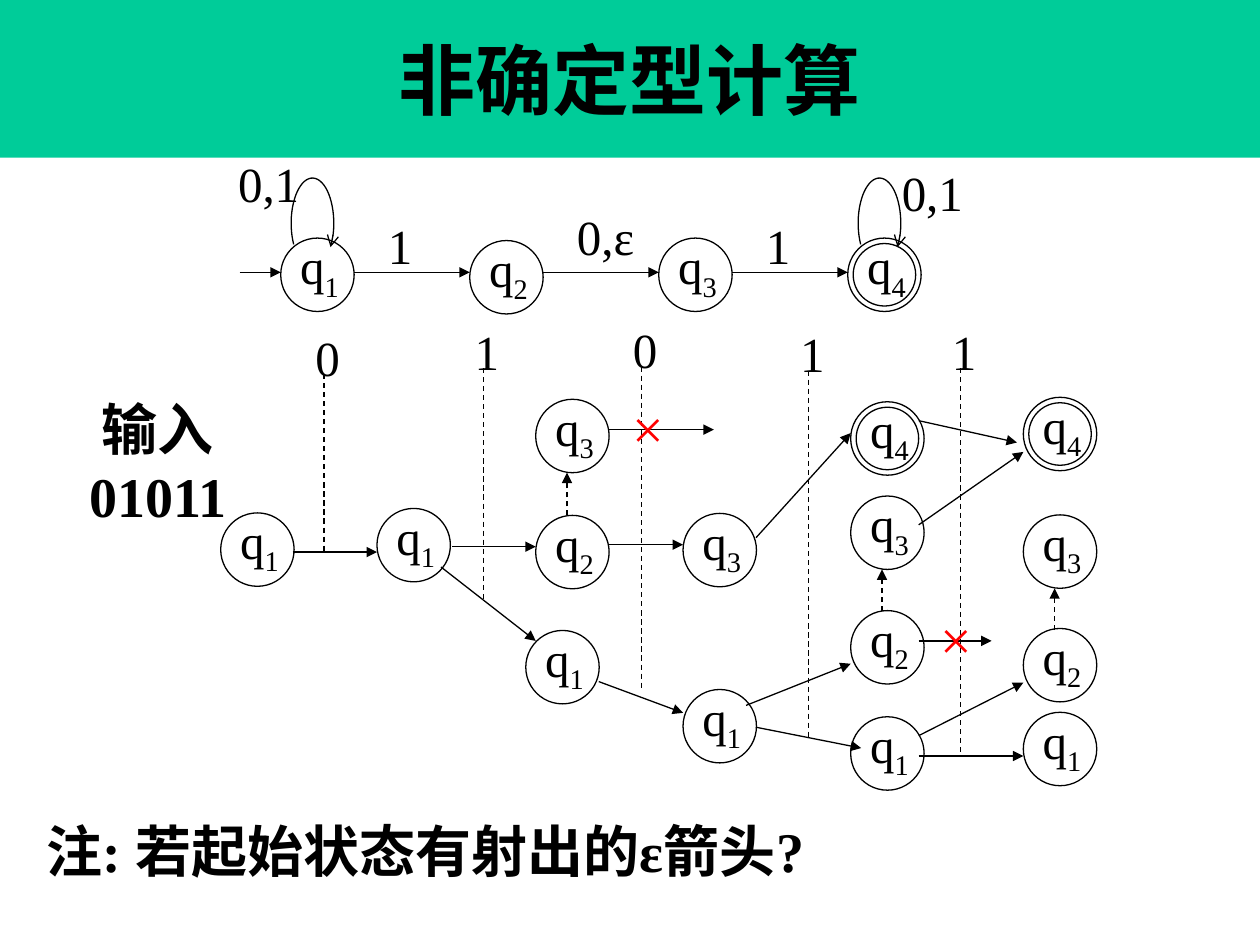
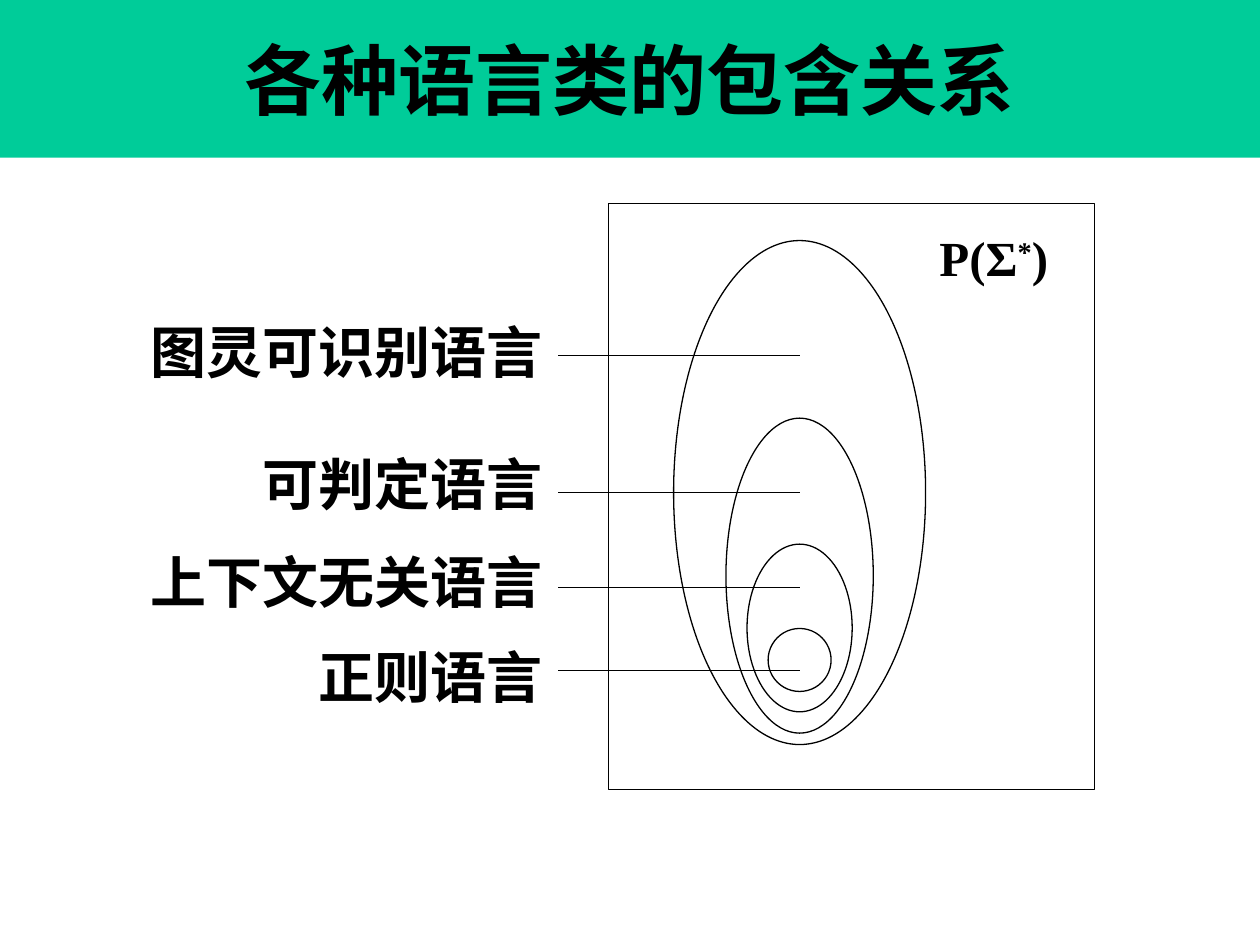
from math import cos, radians, sin

from lxml.etree import SubElement
from pptx import Presentation
from pptx.dml.color import RGBColor
from pptx.enum.dml import MSO_LINE
from pptx.enum.shapes import MSO_CONNECTOR, MSO_SHAPE
from pptx.enum.text import MSO_ANCHOR, MSO_AUTO_SIZE, PP_ALIGN
from pptx.oxml.ns import qn
from pptx.util import Cm, Pt

# Shared style; all positions are in centimetres
FONT = "Times New Roman"
BLACK, RED, GREEN = "000000", "FF0000", "00CC99"
SLIDE_WIDTH, SLIDE_HEIGHT, BAND_HEIGHT = 25.4, 19.05, 3.18
STATE_SIZE, ACCEPT_INSET = 1.48, 0.11
SUBSCRIPT, SUPERSCRIPT = -25000, 30000


def colour(hex_value):
    return RGBColor.from_string(hex_value)


def format_run(run, size, bold=False, hex_value=BLACK):
    run.font.name = FONT
    run.font.size = Pt(size)
    run.font.bold = bold
    run.font.color.rgb = colour(hex_value)


# Elements
def add_title_slide(presentation, title):
    slide = presentation.slides.add_slide(presentation.slide_layouts[6])
    band = slide.shapes.add_shape(MSO_SHAPE.RECTANGLE, 0, 0, Cm(SLIDE_WIDTH), Cm(BAND_HEIGHT))
    band.shadow.inherit = False
    band.fill.solid()
    band.fill.fore_color.rgb = colour(GREEN)
    band.line.fill.background()
    band.text_frame.text = title
    band.text_frame.vertical_anchor = MSO_ANCHOR.MIDDLE
    paragraph = band.text_frame.paragraphs[0]
    paragraph.alignment = PP_ALIGN.CENTER
    format_run(paragraph.runs[0], 44, bold=True)
    return slide


def add_label(slide, left, top, width, height, text, size=28, bold=False,
              hex_value=BLACK, align=PP_ALIGN.LEFT, wrap=False):
    """Text box; text may be a string or a list of (text, baseline) runs."""
    box = slide.shapes.add_textbox(Cm(left), Cm(top), Cm(width), Cm(height))
    frame = box.text_frame
    frame.word_wrap = wrap
    frame.auto_size = MSO_AUTO_SIZE.SHAPE_TO_FIT_TEXT
    if isinstance(text, str):
        frame.text = text
    else:
        for part, baseline in text:
            run = frame.paragraphs[0].add_run()
            run.text = part
            if baseline:
                run._r.get_or_add_rPr().set("baseline", str(baseline))
    for paragraph in frame.paragraphs:
        paragraph.alignment = align
        for run in paragraph.runs:
            format_run(run, size, bold, hex_value)


def add_outline(slide, kind, left, top, width, height):
    shape = slide.shapes.add_shape(kind, Cm(left), Cm(top), Cm(width), Cm(height))
    shape.shadow.inherit = False
    shape.fill.background()
    style_line(shape)


def style_line(shape, arrow=None, dashed=False):
    shape.line.color.rgb = colour(BLACK)
    shape.line.width = Pt(0.75)
    if dashed:
        shape.line.dash_style = MSO_LINE.DASH
    if arrow:
        SubElement(shape.line._get_or_add_ln(), qn("a:tailEnd"), type=arrow)


def add_line(slide, x1, y1, x2, y2, arrow=None, dashed=False):
    line = slide.shapes.add_connector(MSO_CONNECTOR.STRAIGHT, Cm(x1), Cm(y1), Cm(x2), Cm(y2))
    style_line(line, arrow, dashed)
    SubElement(line._element.spPr, qn("a:effectLst"))


def add_state(slide, left, top, index, accepting=False):
    add_outline(slide, MSO_SHAPE.OVAL, left, top, STATE_SIZE, STATE_SIZE)
    if accepting:
        inner = STATE_SIZE - 2 * ACCEPT_INSET
        add_outline(slide, MSO_SHAPE.OVAL, left + ACCEPT_INSET, top + ACCEPT_INSET, inner, inner)
    add_label(slide, left + 0.14, top - 0.17, 1.35, 1.45, [("q", 0), (str(index), SUBSCRIPT)])


def add_self_loop(slide, state_left, state_top):
    centre_x, centre_y = state_left + 0.64, state_top - 0.3
    points = [(Cm(centre_x + 0.43 * cos(radians(angle))), Cm(centre_y + 0.91 * sin(radians(angle))))
              for angle in range(152, 393, 6)]
    builder = slide.shapes.build_freeform(*points[0])
    builder.add_line_segments(points[1:], close=False)
    loop = builder.convert_to_shape()
    loop.shadow.inherit = False
    loop.fill.background()
    style_line(loop, arrow="arrow")


# Slide 1: automaton and its computation tree
def draw_automaton(slide):
    first_left, step, arrow_y = 5.66, 3.81, 5.49
    lefts = [first_left + step * number for number in range(4)]
    tops = [4.8, 4.85, 4.8, 4.8]
    add_line(slide, 4.83, arrow_y, first_left, arrow_y, arrow="triangle")
    for number, (left, top) in enumerate(zip(lefts, tops), start=1):
        add_state(slide, left, top, number, accepting=number == 4)
    for left, following in zip(lefts, lefts[1:]):
        add_line(slide, left + STATE_SIZE, arrow_y, following, arrow_y, arrow="triangle")
    for number in (0, 3):
        add_self_loop(slide, lefts[number], tops[number])
    for left, top, width, symbols in [
        (4.55, 2.97, 1.75, "0,1"), (7.57, 4.22, 1.02, "1"), (11.38, 4.04, 1.68, "0,ε"),
        (15.19, 4.22, 1.02, "1"), (17.93, 3.15, 1.75, "0,1"),
    ]:
        add_label(slide, left, top, width, 1.45, symbols)


def draw_computation(slide):
    # Each column: left edge, then (top, state index) of its states
    columns = [
        (4.45, [(10.34, 1)]),
        (7.6, [(10.25, 1)]),
        (10.6, [(12.71, 1)]),
        (10.8, [(8.05, 3), (10.39, 2)]),
        (13.77, [(10.35, 3), (13.9, 1)]),
        (17.15, [(8.1, 4), (10, 3), (12.31, 2), (14.45, 1)]),
        (20.63, [(8.01, 4), (10.38, 3), (12.67, 2), (14.36, 1)]),
    ]
    for left, states in columns:
        for top, index in states:
            add_state(slide, left, top, index, accepting=index == 4)

    # Moves that read a symbol
    for move in [
        (5.9, 11.13, 7.6, 11.13), (9.12, 11.02, 10.8, 11.02), (8.89, 11.43, 10.8, 12.92),
        (12.28, 8.66, 14.39, 8.66), (12.28, 10.98, 13.77, 10.98), (12.07, 13.74, 13.77, 14.37),
        (15.24, 10.84, 17.15, 8.73), (15.04, 14.22, 17.15, 13.38), (15.24, 14.66, 17.36, 15.08),
        (18.52, 8.48, 20.5, 8.92), (18.52, 10.58, 20.63, 9.11), (18.52, 12.92, 19.99, 12.92),
        (18.52, 14.83, 20.63, 13.76), (18.52, 15.24, 20.63, 15.24),
    ]:
        add_line(slide, *move, arrow="triangle")

    # Moves on the empty string
    for x, start, end in [(11.43, 10.39, 9.53), (17.78, 12.32, 11.48), (21.26, 12.7, 11.86)]:
        add_line(slide, x, start, x, end, arrow="triangle", dashed=True)

    # Input symbols with their dashed guides
    for symbol, x, top, bottom in [
        ("0", 6.53, 7.54, 11.13), ("1", 9.74, 7.42, 12.07), ("0", 12.93, 7.39, 13.94),
        ("1", 16.3, 7.47, 14.86), ("1", 19.36, 7.42, 15.24),
    ]:
        add_line(slide, x, top, x, bottom, dashed=True)
        add_label(slide, x - 0.42, top - 1.07, 1.02, 1.45, symbol)

    # Branches that die
    for left, top in [(12.5, 7.8), (18.72, 12.07)]:
        add_label(slide, left, top, 1.65, 1.6, "×", size=32, hex_value=RED)


def build_computation_slide(presentation):
    slide = add_title_slide(presentation, "非确定型计算")
    draw_automaton(slide)
    draw_computation(slide)
    add_label(slide, 1.52, 7.82, 3.33, 2.97, "输入\n01011", size=32, bold=True,
              align=PP_ALIGN.CENTER)
    add_label(slide, 0.69, 16.33, 16.05, 1.6, "注: 若起始状态有射出的ε箭头?", size=32,
              bold=True, wrap=True)


# Slide 2: nested language classes
def build_inclusion_slide(presentation):
    slide = add_title_slide(presentation, "各种语言类的包含关系")
    centre_x, label_right = 16.12, 11.49
    add_outline(slide, MSO_SHAPE.RECTANGLE, 12.27, 4.11, 9.8, 11.81)
    add_label(slide, 18.69, 4.47, 2.69, 1.45, [("P(Σ", 0), ("*", SUPERSCRIPT), (")", 0)], bold=True)
    # Name, label top, leader height, then the ellipse's top, width and height
    for name, label_top, leader_y, top, width, height in [
        ("图灵可识别语言", 6.27, 7.16, 4.85, 5.08, 10.16),
        ("可判定语言", 8.94, 9.93, 8.43, 2.97, 6.35),
        ("上下文无关语言", 10.92, 11.84, 10.97, 2.12, 3.38),
        ("正则语言", 12.83, 13.51, 12.67, 1.27, 1.27),
    ]:
        label_width = 1.13 * len(name) + 0.79
        add_label(slide, label_right - label_width, label_top, label_width, 1.6, name,
                  size=32, bold=True)
        add_line(slide, 11.25, leader_y, centre_x, leader_y)
        add_outline(slide, MSO_SHAPE.OVAL, centre_x - width / 2, top, width, height)


def main():
    presentation = Presentation()
    presentation.slide_width = Cm(SLIDE_WIDTH)
    presentation.slide_height = Cm(SLIDE_HEIGHT)
    build_computation_slide(presentation)
    build_inclusion_slide(presentation)
    presentation.save("out.pptx")


if __name__ == "__main__":
    main()
